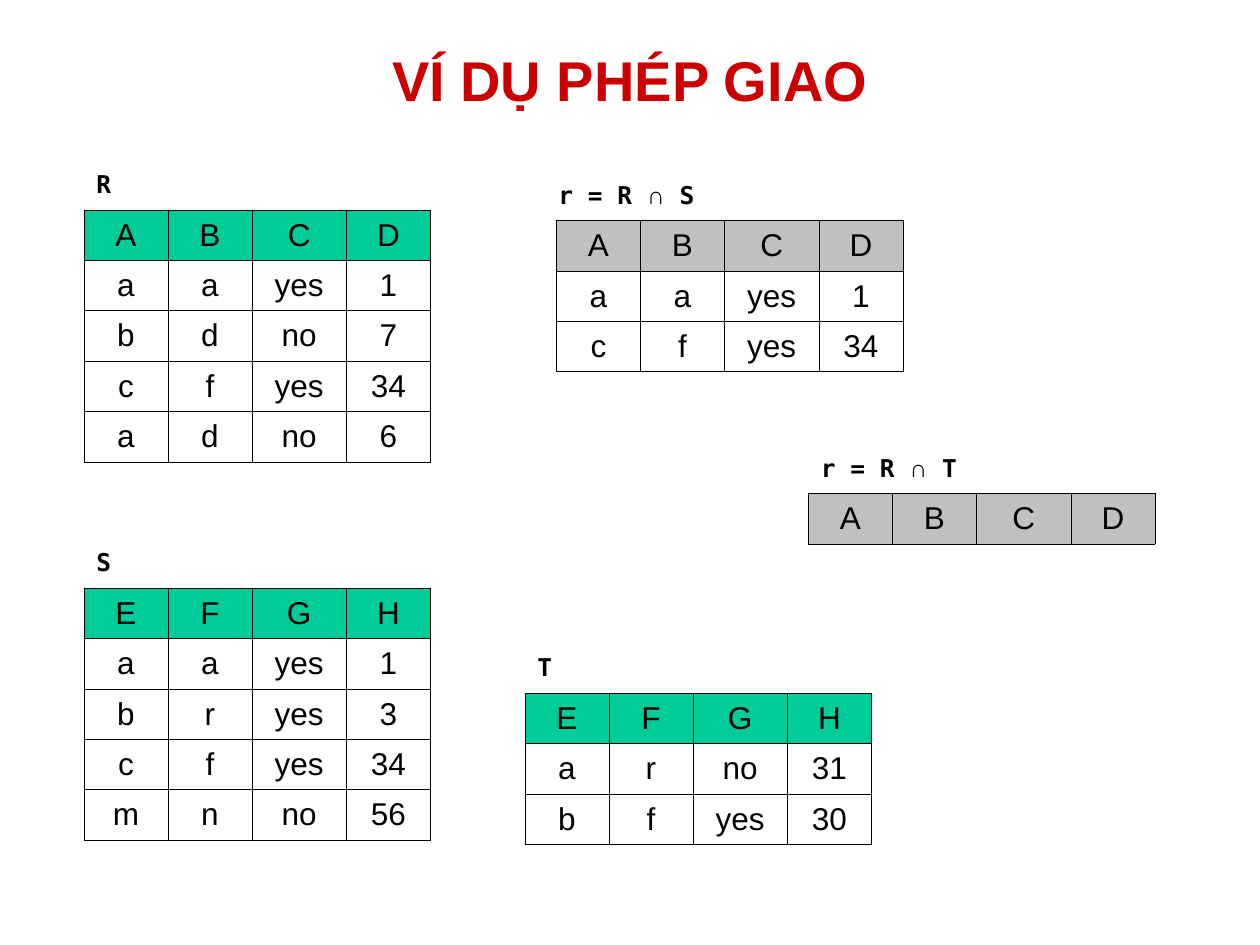
from lxml.etree import SubElement
from pptx import Presentation
from pptx.dml.color import RGBColor
from pptx.enum.text import MSO_ANCHOR, MSO_AUTO_SIZE, PP_ALIGN
from pptx.oxml.ns import qn
from pptx.util import Pt

COLORS = {"title": "CC0000", "text": "000000", "line": "000000",
          "source": "00CC99", "result": "C0C0C0"}
SANS, MONO = "Arial", "DejaVu Sans Mono"
COL_WIDTHS = (48, 48, 54, 48)
ROW_H = 28.8
LABEL_W, LABEL_H = 156, 30


def rgb(name):
    return RGBColor.from_string(COLORS[name])


def add_text(p, text, size=18, font=SANS, color="text", bold=False,
             align=PP_ALIGN.LEFT, before=0):
    p.alignment = align
    p.space_before = Pt(before)
    r = p.add_run()
    r.text = text
    r.font.size, r.font.name, r.font.bold = Pt(size), font, bold
    r.font.color.rgb = rgb(color)


def set_borders(cell):
    tc_pr = cell._tc.get_or_add_tcPr()
    for i, side in enumerate(("lnL", "lnR", "lnT", "lnB")):
        ln = tc_pr.makeelement(qn(f"a:{side}"), {"w": str(Pt(0.45))})
        fill = SubElement(ln, qn("a:solidFill"))
        SubElement(fill, qn("a:srgbClr"), val=COLORS["line"])
        tc_pr.insert(i, ln)  # borders come before the cell fill


def add_title(slide, text, left, top, width, height):
    sp = slide.shapes.title
    sp.left, sp.top, sp.width, sp.height = map(Pt, (left, top, width, height))
    tf = sp.text_frame
    tf.auto_size = MSO_AUTO_SIZE.NONE
    tf.vertical_anchor = MSO_ANCHOR.MIDDLE
    add_text(tf.paragraphs[0], text, size=32, color="title", bold=True,
             align=PP_ALIGN.CENTER)


def add_label(slide, text, left, top):
    sp = slide.shapes.add_textbox(Pt(left), Pt(top), Pt(LABEL_W), Pt(LABEL_H))
    tf = sp.text_frame
    tf.word_wrap = False
    tf.vertical_anchor = MSO_ANCHOR.MIDDLE
    before, sign, after = text.partition("∩")
    for part, font in ((before, MONO), (sign, SANS), (after, MONO)):
        if part:
            add_text(tf.paragraphs[0], part, size=14, font=font, bold=True)


def add_relation(slide, label, kind, rows, left, top, label_shift=0):
    """Table with its name directly above; kind picks the header colour."""
    table = slide.shapes.add_table(
        len(rows), len(COL_WIDTHS), Pt(left), Pt(top),
        Pt(sum(COL_WIDTHS)), Pt(ROW_H * len(rows))).table
    table.first_row = table.horz_banding = False
    for col, width in zip(table.columns, COL_WIDTHS):
        col.width = Pt(width)
    for i, values in enumerate(rows):
        table.rows[i].height = Pt(ROW_H)
        for j, value in enumerate(values):
            cell = table.cell(i, j)
            cell.vertical_anchor = MSO_ANCHOR.MIDDLE
            if i == 0:
                cell.fill.solid()
                cell.fill.fore_color.rgb = rgb(kind)
            else:
                cell.fill.background()
            set_borders(cell)
            add_text(cell.text_frame.paragraphs[0], value,
                     align=PP_ALIGN.CENTER, before=4.5)
    add_label(slide, label, left + label_shift, top - LABEL_H)


def main():
    prs = Presentation()
    prs.slide_width, prs.slide_height = Pt(720), Pt(540)
    slide = prs.slides.add_slide(prs.slide_layouts[5])
    add_title(slide, "VÍ DỤ PHÉP GIAO", 36, 0, 648, 90)

    abcd, efgh = tuple("ABCD"), tuple("EFGH")
    # Source relations
    add_relation(slide, "R", "source", [
        abcd, ("a", "a", "yes", "1"), ("b", "d", "no", "7"),
        ("c", "f", "yes", "34"), ("a", "d", "no", "6")], 48, 120)
    add_relation(slide, "S", "source", [
        efgh, ("a", "a", "yes", "1"), ("b", "r", "yes", "3"),
        ("c", "f", "yes", "34"), ("m", "n", "no", "56")], 48, 336)
    add_relation(slide, "T", "source", [
        efgh, ("a", "r", "no", "31"), ("b", "f", "yes", "30")], 300, 396)
    # Intersections
    add_relation(slide, "r = R ∩ S", "result", [
        abcd, ("a", "a", "yes", "1"), ("c", "f", "yes", "34")],
        318, 126, label_shift=-6)
    add_relation(slide, "r = R ∩ T", "result", [abcd], 462, 282)

    prs.save("out.pptx")


if __name__ == "__main__":
    main()
